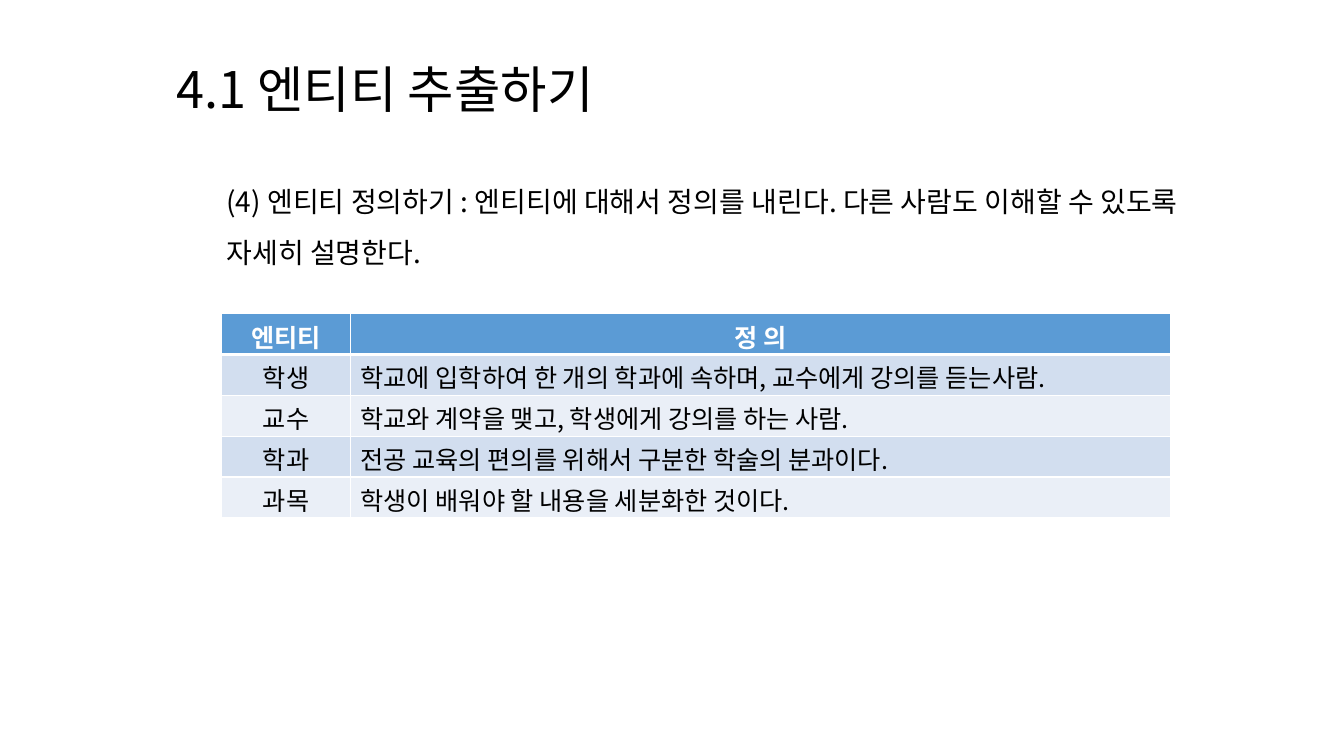
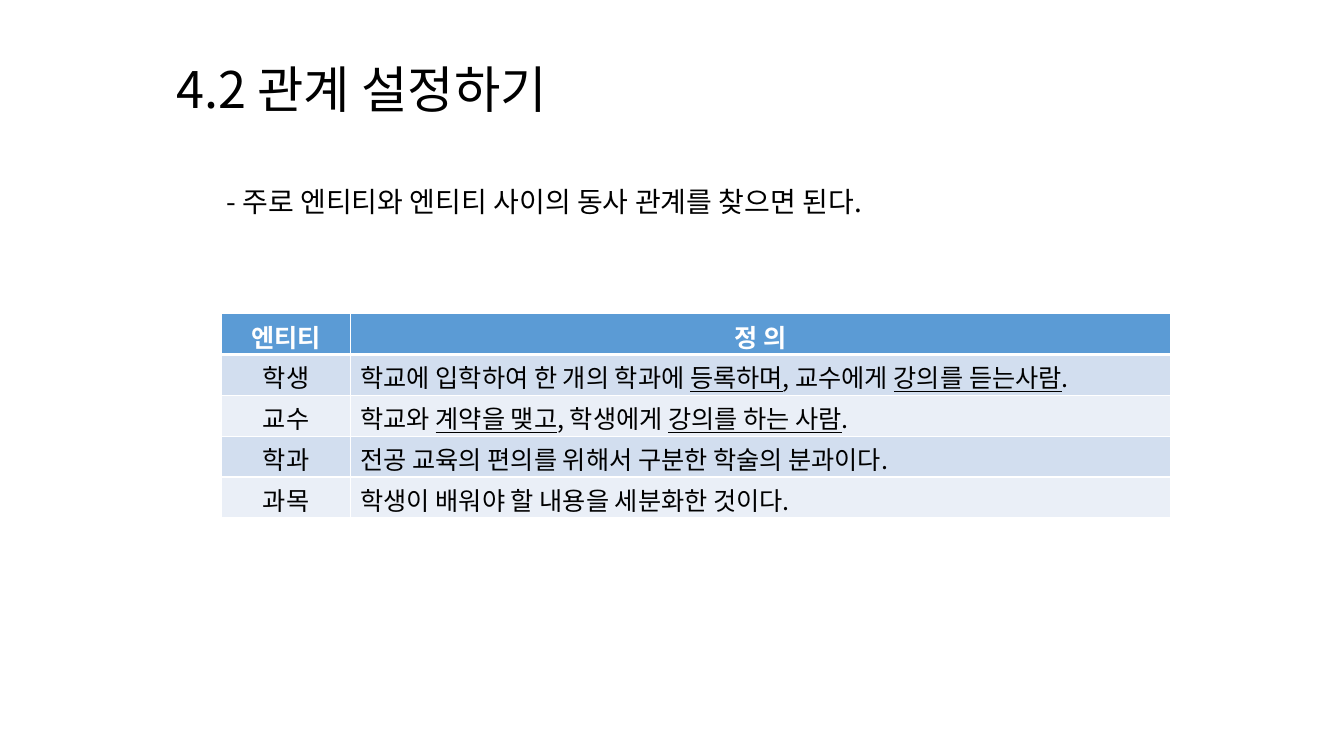
from pptx import Presentation
from pptx.dml.color import RGBColor
from pptx.enum import text
from pptx.oxml import ns, xmlchemy
from pptx.util import Cm, Pt

FONT = "Noto Sans CJK KR"
BLACK = "000000"
WHITE = "FFFFFF"
HEADER_FILL = "5B9BD5"
BAND_FILLS = ("D2DEEF", "EAEFF7")
TITLE_BOX = (4.19, 1.3, 26.72, 1.8)
BODY_BOX = (4.19, 4.11, 25.93, 2.82)
TABLE_BOX = (5.59, 7.9, 23.9, 5.15)
ENTITY_WIDTH = 3.24
HEADER = ("엔티티", "정 의")
COMMON_ROWS = [
    ("학과", "전공 교육의 편의를 위해서 구분한 학술의 분과이다."),
    ("과목", "학생이 배워야 할 내용을 세분화한 것이다."),
]
SLIDES = [
    (
        "4.1 엔티티 추출하기",
        "(4) 엔티티 정의하기 : 엔티티에 대해서 정의를 내린다. "
        "다른 사람도 이해할 수 있도록 자세히 설명한다.",
        [
            ("학생", "학교에 입학하여 한 개의 학과에 속하며, 교수에게 강의를 듣는사람."),
            ("교수", "학교와 계약을 맺고, 학생에게 강의를 하는 사람."),
        ],
    ),
    (
        "4.2 관계 설정하기",
        "- 주로 엔티티와 엔티티 사이의 동사 관계를 찾으면 된다.",
        [
            ("학생", "학교에 입학하여 한 개의 학과에 _등록하며_, 교수에게 _강의를 듣는사람_."),
            ("교수", "학교와 _계약을 맺고_, 학생에게 _강의를 하는 사람_."),
        ],
    ),
]


def rgb(value):
    return RGBColor.from_string(value)


def lengths(box):
    return [Cm(value) for value in box]


def write(paragraph, content, size, line, color=BLACK, bold=False, centered=False):
    paragraph.line_spacing = Pt(line)
    paragraph.alignment = text.PP_ALIGN.CENTER if centered else text.PP_ALIGN.LEFT
    for index, part in enumerate(content.split("_")):
        run = paragraph.add_run()
        run.text = part
        font = run.font
        font.name = FONT
        font.size = Pt(size)
        font.bold = bold
        font.color.rgb = rgb(color)
        if index % 2:
            font.underline = True
        east_asian = xmlchemy.OxmlElement("a:ea")
        east_asian.set("typeface", FONT)
        run.font._element.find(ns.qn("a:latin")).addnext(east_asian)


def add_title(slide, box, content):
    title = slide.shapes.title
    title.left, title.top, title.width, title.height = lengths(box)
    frame = title.text_frame
    frame.auto_size = text.MSO_AUTO_SIZE.NONE
    frame.vertical_anchor = text.MSO_ANCHOR.TOP
    write(frame.paragraphs[0], content, 36, 44)


def add_body(slide, box, content):
    frame = slide.shapes.add_textbox(*lengths(box)).text_frame
    frame.word_wrap = True
    paragraph = frame.paragraphs[0]
    paragraph.level = 1
    properties = paragraph._p.get_or_add_pPr()
    properties.set("marL", str(Cm(1.27)))
    properties.set("indent", "0")
    write(paragraph, content, 20, 36)


def set_borders(cell, top, bottom):
    properties = cell._tc.get_or_add_tcPr()
    for side, width in (("L", 1), ("R", 1), ("T", top), ("B", bottom)):
        line = xmlchemy.OxmlElement(f"a:ln{side}")
        line.set("w", str(Pt(width)))
        fill = xmlchemy.OxmlElement("a:solidFill")
        color = xmlchemy.OxmlElement("a:srgbClr")
        color.set("val", WHITE)
        fill.append(color)
        line.append(fill)
        properties.append(line)


def add_entity_table(slide, box, rows):
    left, top, width, height = lengths(box)
    table = slide.shapes.add_table(len(rows), 2, left, top, width, height).table
    table.columns[0].width = Cm(ENTITY_WIDTH)
    table.columns[1].width = width - Cm(ENTITY_WIDTH)
    for row, values in enumerate(rows):
        is_header = row == 0
        for column, content in enumerate(values):
            cell = table.cell(row, column)
            cell.margin_top, cell.margin_bottom = Cm(0.25), 0
            set_borders(cell, 3 if row == 1 else 1, 3 if is_header else 1)
            cell.fill.solid()
            cell.fill.fore_color.rgb = rgb(
                HEADER_FILL if is_header else BAND_FILLS[(row - 1) % 2]
            )
            write(
                cell.text_frame.paragraphs[0], content, 18, 22,
                WHITE if is_header else BLACK, is_header, is_header or column == 0,
            )


def add_definition_slide(presentation, title, body, rows):
    slide = presentation.slides.add_slide(presentation.slide_layouts[5])
    add_title(slide, TITLE_BOX, title)
    add_body(slide, BODY_BOX, body)
    add_entity_table(slide, TABLE_BOX, [HEADER, *rows, *COMMON_ROWS])


def main():
    presentation = Presentation()
    presentation.slide_width, presentation.slide_height = Cm(33.87), Cm(19.05)
    for title, body, rows in SLIDES:
        add_definition_slide(presentation, title, body, rows)
    presentation.save("out.pptx")


if __name__ == "__main__":
    main()
